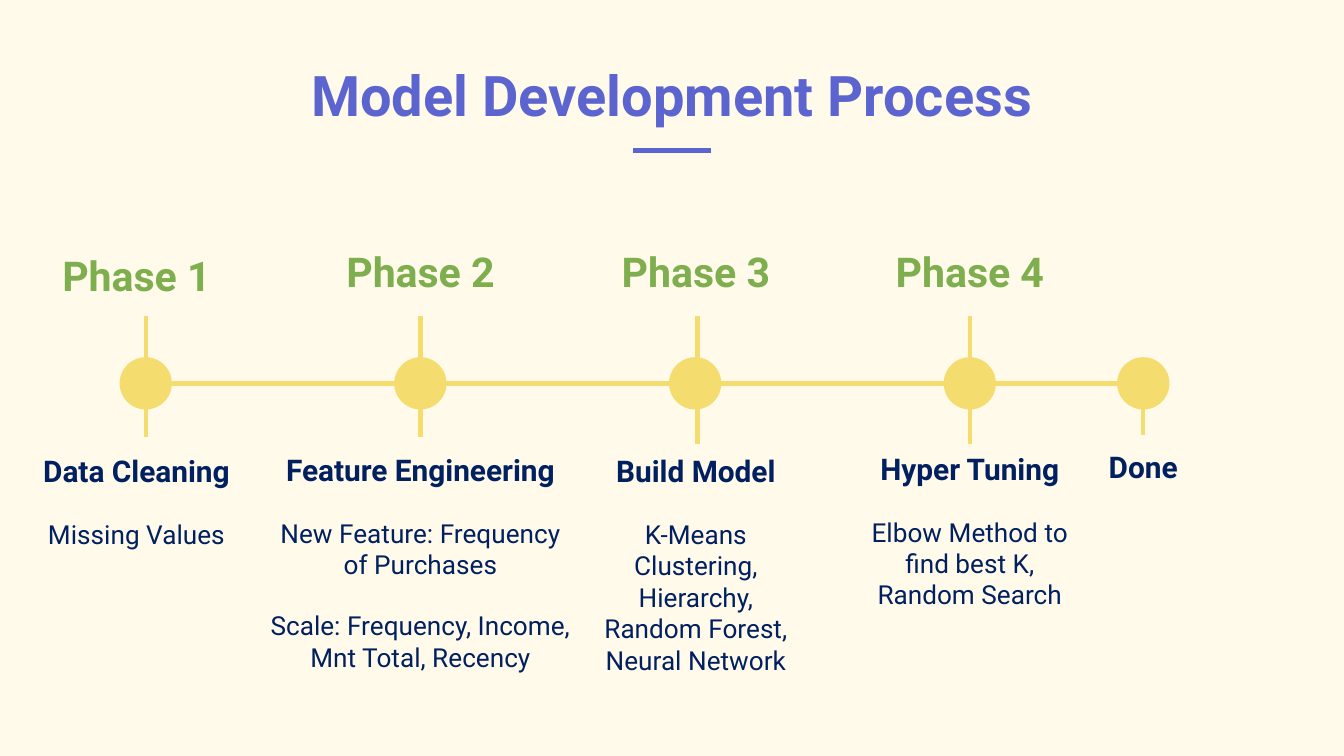
from dataclasses import dataclass

import pptx
import pptx.dml.color
import pptx.enum.shapes
import pptx.enum.text
import pptx.util
from lxml import etree
from pptx.util import Pt


@dataclass(frozen=True)
class Theme:
    background: str = "FFFAEA"
    title: str = "5C65CF"
    timeline: str = "F5DC6E"
    phase: str = "7EAE4E"
    body: str = "002060"
    font: str = "Roboto"
    title_size: float = 30
    phase_size: float = 22
    heading_size: float = 16
    detail_size: float = 14
    thick_line: float = 3
    tick_line: float = 2.25
    inset: float = 7.2


@dataclass(frozen=True)
class Phase:
    heading: str
    details: tuple
    text_shift: float = 0
    tick_shift: float = 0
    label_top: float = 124.6
    detail_top: float = 235.4
    detail_width: float = 126
    tick_bottom: float = 234


THEME = Theme()
PHASES = [
    Phase("Data Cleaning", ("Missing Values",), text_shift=-5, label_top=126.7),
    Phase("Feature Engineering",
          ("New Feature: Frequency of Purchases",
           "Scale: Frequency, Income, Mnt Total, Recency"),
          detail_top=234.7, detail_width=176.4),
    Phase("Build Model",
          ("K-Means Clustering, Hierarchy, Random Forest, Neural Network",),
          text_shift=0.4, tick_shift=1.3, tick_bottom=237.6),
    Phase("Hyper Tuning", ("Elbow Method to find best K, Random Search",),
          detail_top=234, tick_bottom=237.6),
]
FIRST_CENTER, PHASE_STEP, DONE_CENTER = 78.1, 147.15, 612.5
AXIS_Y, DIAMETER = 205.4, 28
TICK_TOP = 169.2


def color(value):
    return pptx.dml.color.RGBColor.from_string(value)


def write_text(shape, paragraphs, size, rgb, bold=True, detail_size=None,
               space_after=0, anchor=pptx.enum.text.MSO_ANCHOR.TOP):
    """Fill a shape with centred text; later paragraphs are plain if detail_size is set."""
    frame = shape.text_frame
    frame.word_wrap = True
    frame.auto_size = pptx.enum.text.MSO_AUTO_SIZE.NONE
    frame.vertical_anchor = anchor
    frame.margin_left = frame.margin_right = Pt(THEME.inset)
    frame.margin_top = frame.margin_bottom = Pt(THEME.inset)
    for index, text in enumerate(paragraphs):
        paragraph = frame.paragraphs[0] if index == 0 else frame.add_paragraph()
        paragraph.alignment = pptx.enum.text.PP_ALIGN.CENTER
        paragraph.space_before = Pt(0)
        paragraph.space_after = Pt(space_after)
        run = paragraph.add_run()
        run.text = text
        is_detail = index > 0 and detail_size is not None
        run.font.name = THEME.font
        run.font.size = Pt(detail_size if is_detail else size)
        run.font.bold = bold and not is_detail
        run.font.color.rgb = color(rgb)


def add_text(slide, center, top, width, height, paragraphs, **text_format):
    box = slide.shapes.add_textbox(Pt(center - width / 2), Pt(top), Pt(width), Pt(height))
    write_text(box, paragraphs, **text_format)


def add_line(slide, start, end, rgb, width):
    line = slide.shapes.add_connector(
        pptx.enum.shapes.MSO_CONNECTOR.STRAIGHT, *map(Pt, start + end))
    line.line.color.rgb = color(rgb)
    line.line.width = Pt(width)
    properties = line._element.spPr
    etree.SubElement(properties, pptx.oxml.ns.qn("a:effectLst"))


def add_marker(slide, center):
    marker = slide.shapes.add_shape(
        pptx.enum.shapes.MSO_SHAPE.OVAL, Pt(center - DIAMETER / 2),
        Pt(AXIS_Y - DIAMETER / 2), Pt(DIAMETER), Pt(DIAMETER))
    marker.shadow.inherit = False
    marker.fill.solid()
    marker.fill.fore_color.rgb = color(THEME.timeline)
    marker.line.fill.background()


def add_tick(slide, center, top, bottom):
    add_line(slide, (center, top), (center, bottom), THEME.timeline, THEME.tick_line)


def add_title(slide, text):
    title = slide.shapes.title
    title.left, title.top, title.width, title.height = map(Pt, (56.2, 15.8, 607.6, 59.8))
    write_text(title, [text], size=THEME.title_size, rgb=THEME.title,
               anchor=pptx.enum.text.MSO_ANCHOR.BOTTOM)
    add_line(slide, (339.1, 80.6), (380.9, 80.6), THEME.title, THEME.thick_line)


def add_phase(slide, number, phase, center):
    text_center = center + phase.text_shift
    add_marker(slide, center)
    add_tick(slide, center + phase.tick_shift, TICK_TOP, phase.tick_bottom)
    add_text(slide, text_center, phase.label_top, 126, 44.6, [f"Phase {number}"],
             size=THEME.phase_size, rgb=THEME.phase)
    add_text(slide, text_center, phase.detail_top, phase.detail_width, 73,
             [phase.heading, *phase.details], size=THEME.heading_size,
             rgb=THEME.body, detail_size=THEME.detail_size, space_after=16)


def add_done(slide):
    add_marker(slide, DONE_CENTER)
    add_tick(slide, DONE_CENTER, 200.9, 233.3)
    add_text(slide, DONE_CENTER, 233.3, 77, 32.4, ["Done"],
             size=THEME.heading_size, rgb=THEME.body)


def main():
    presentation = pptx.Presentation()
    presentation.slide_width, presentation.slide_height = Pt(720), Pt(405)
    slide = presentation.slides.add_slide(presentation.slide_layouts[5])
    slide.background.fill.solid()
    slide.background.fill.fore_color.rgb = color(THEME.background)

    add_title(slide, "Model Development Process")
    add_line(slide, (FIRST_CENTER + DIAMETER / 2, AXIS_Y),
             (DONE_CENTER + DIAMETER / 2, AXIS_Y), THEME.timeline, THEME.thick_line)
    for index, phase in enumerate(PHASES):
        add_phase(slide, index + 1, phase, FIRST_CENTER + index * PHASE_STEP)
    add_done(slide)
    presentation.save("out.pptx")


if __name__ == "__main__":
    main()
